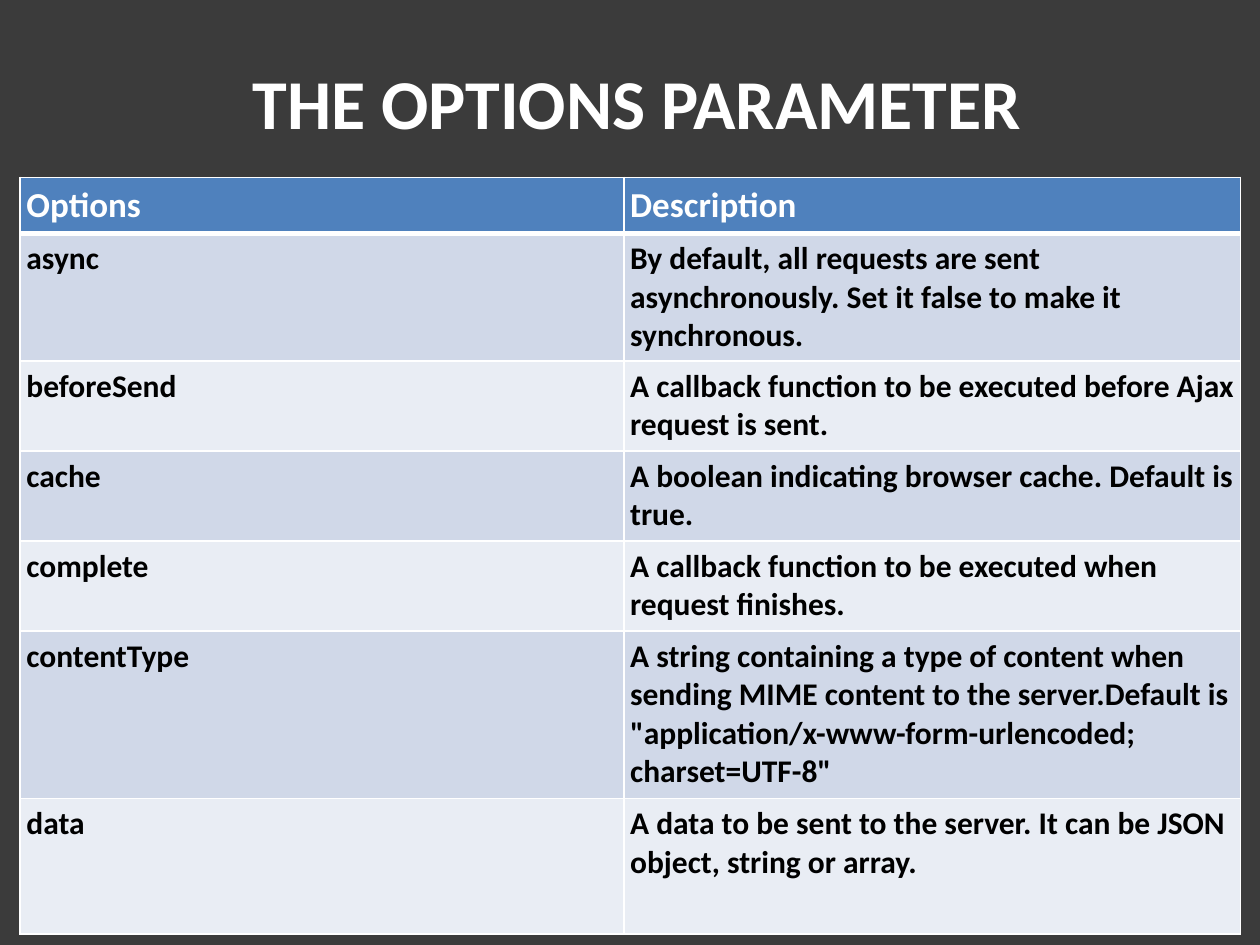
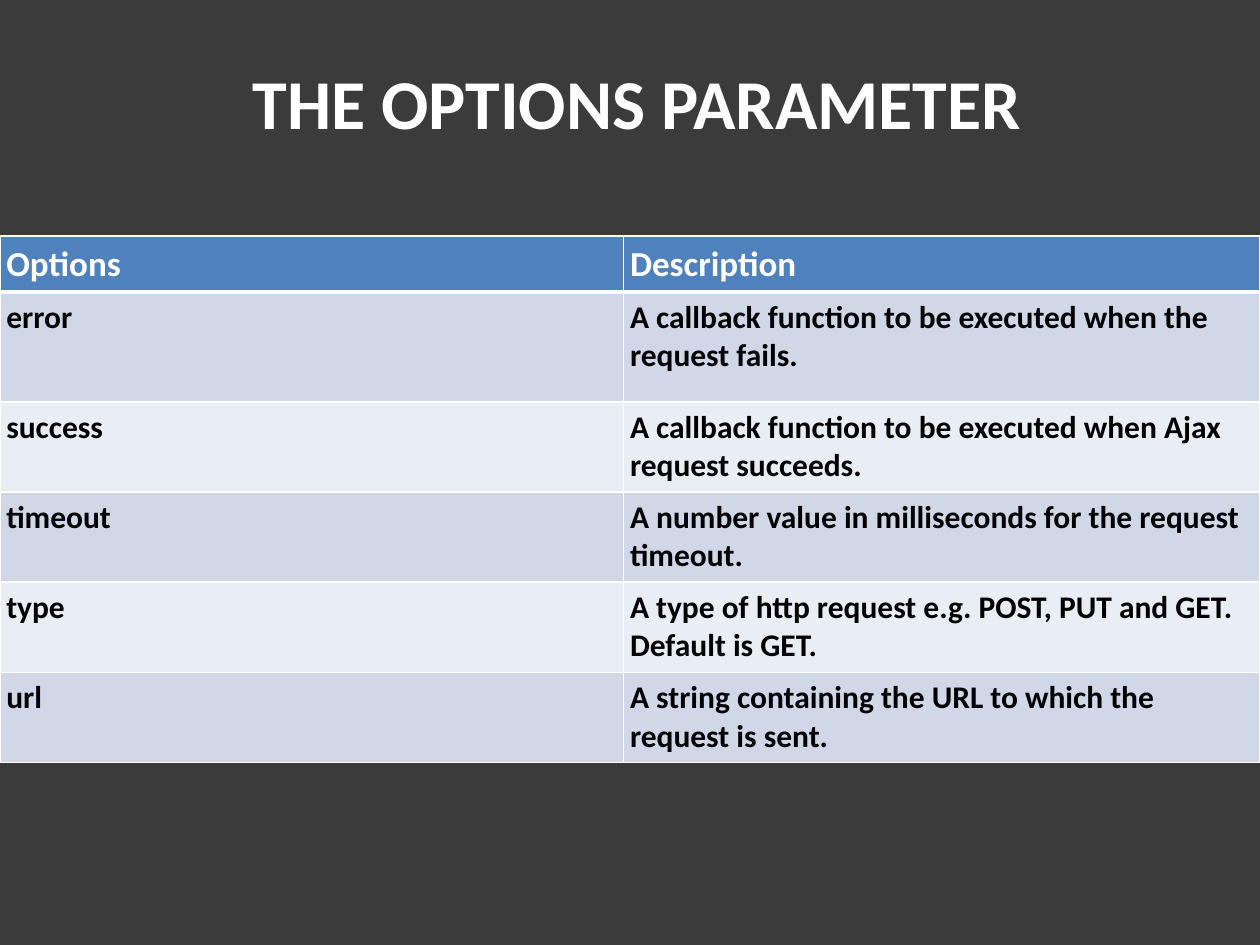
from lxml.etree import SubElement
from pptx import Presentation
from pptx.dml.color import RGBColor
from pptx.enum.text import MSO_ANCHOR, PP_ALIGN
from pptx.oxml.ns import qn
from pptx.util import Pt

COLORS = {
    "background": "3B3B3B",
    "light": "FFFFFF",
    "dark": "000000",
    "header": "4F81BD",
    "odd": "D0D8E8",
    "even": "E9EDF4",
}
TITLE_BOX = (28, 28, 672, 60)
TITLE_FONT = {"name": "Calibri", "size": Pt(40), "bold": True}
HEADER_FONT = {**TITLE_FONT, "size": Pt(20)}
BODY_FONT = {**TITLE_FONT, "size": Pt(18)}
CELL_MARGINS = {f"margin_{side}": Pt(3.6) for side in ("left", "top", "right", "bottom")}
HEADINGS = ("Options", "Description")

SLIDES = [
    {
        "origin": (11.5, 101.3),
        "widths": (345, 352.5),
        "heights": (32, 73, 51.5, 51.5, 51.5, 95.5, 77.5),
        "options": [
            ("async", "By default, all requests are sent asynchronously. "
                      "Set it false to make it synchronous."),
            ("beforeSend", "A callback function to be executed before Ajax request is sent."),
            ("cache", "A boolean indicating browser cache. Default is true."),
            ("complete", "A callback function to be executed when request finishes."),
            ("contentType", "A string containing a type of content when sending MIME content "
                            "to the server.Default is "
                            '"application/x-www-form-urlencoded; charset=UTF-8"'),
            ("data", "A data to be sent to the server. It can be JSON object, string or array."),
        ],
    },
    {
        "origin": (0, 134.8),
        "widths": (356.4, 363.6),
        "heights": (32, 63, 51.5, 51.5, 51.5, 51.5),
        "options": [
            ("error", "A callback function to be executed when the request fails."),
            ("success", "A callback function to be executed when Ajax request succeeds."),
            ("timeout", "A number value in milliseconds for the request timeout."),
            ("type", "A type of http request e.g. POST, PUT and GET. Default is GET."),
            ("url", "A string containing the URL to which the request is sent."),
        ],
    },
]


def rgb(name):
    return RGBColor.from_string(COLORS[name])


def set_values(target, values):
    for name, value in values.items():
        setattr(target, name, value)


def write(p, text, font, color):
    r = p.add_run()
    r.text = text
    set_values(r.font, font)
    r.font.color.rgb = rgb(color)


def add_title(s, box, text):
    tf = s.shapes.add_textbox(*map(Pt, box)).text_frame
    set_values(tf, {"word_wrap": True, "vertical_anchor": MSO_ANCHOR.MIDDLE})
    p = tf.paragraphs[0]
    p.alignment = PP_ALIGN.CENTER
    write(p, text, TITLE_FONT, "light")


def set_borders(cell, widths):
    """Draw the cell's edges; call before filling so the XML order stays valid."""
    tc_pr = cell._tc.get_or_add_tcPr()
    for side, width in widths.items():
        ln = SubElement(tc_pr, qn(f"a:ln{side}"), w=str(Pt(width)))
        fill = SubElement(ln, qn("a:solidFill"))
        SubElement(fill, qn("a:srgbClr"), val=COLORS["light"])


def format_cell(cell, row, text):
    is_header = row == 0
    set_borders(cell, {"L": 1, "R": 1, "T": 3 if row == 1 else 1, "B": 3 if is_header else 1})
    cell.fill.solid()
    cell.fill.fore_color.rgb = rgb("header" if is_header else "odd" if row % 2 else "even")
    set_values(cell, CELL_MARGINS)
    cell.vertical_anchor = MSO_ANCHOR.BOTTOM if is_header else MSO_ANCHOR.TOP
    font, color = (HEADER_FONT, "light") if is_header else (BODY_FONT, "dark")
    write(cell.text_frame.paragraphs[0], text, font, color)


def add_options_table(s, origin, widths, heights, options):
    size = (sum(widths), sum(heights))
    table = s.shapes.add_table(len(heights), len(widths), *map(Pt, origin + size)).table
    for column, width in zip(table.columns, widths):
        column.width = Pt(width)
    for i, (height, texts) in enumerate(zip(heights, [HEADINGS, *options])):
        table.rows[i].height = Pt(height)
        for j, text in enumerate(texts):
            format_cell(table.cell(i, j), i, text)


def add_options_slide(prs, content):
    s = prs.slides.add_slide(prs.slide_layouts[6])
    s.background.fill.solid()
    s.background.fill.fore_color.rgb = rgb("background")
    add_title(s, TITLE_BOX, "THE OPTIONS PARAMETER")
    add_options_table(s, **content)


def main():
    prs = Presentation()
    set_values(prs, {"slide_width": Pt(720), "slide_height": Pt(540)})
    for content in SLIDES:
        add_options_slide(prs, content)
    prs.save("out.pptx")


if __name__ == "__main__":
    main()
